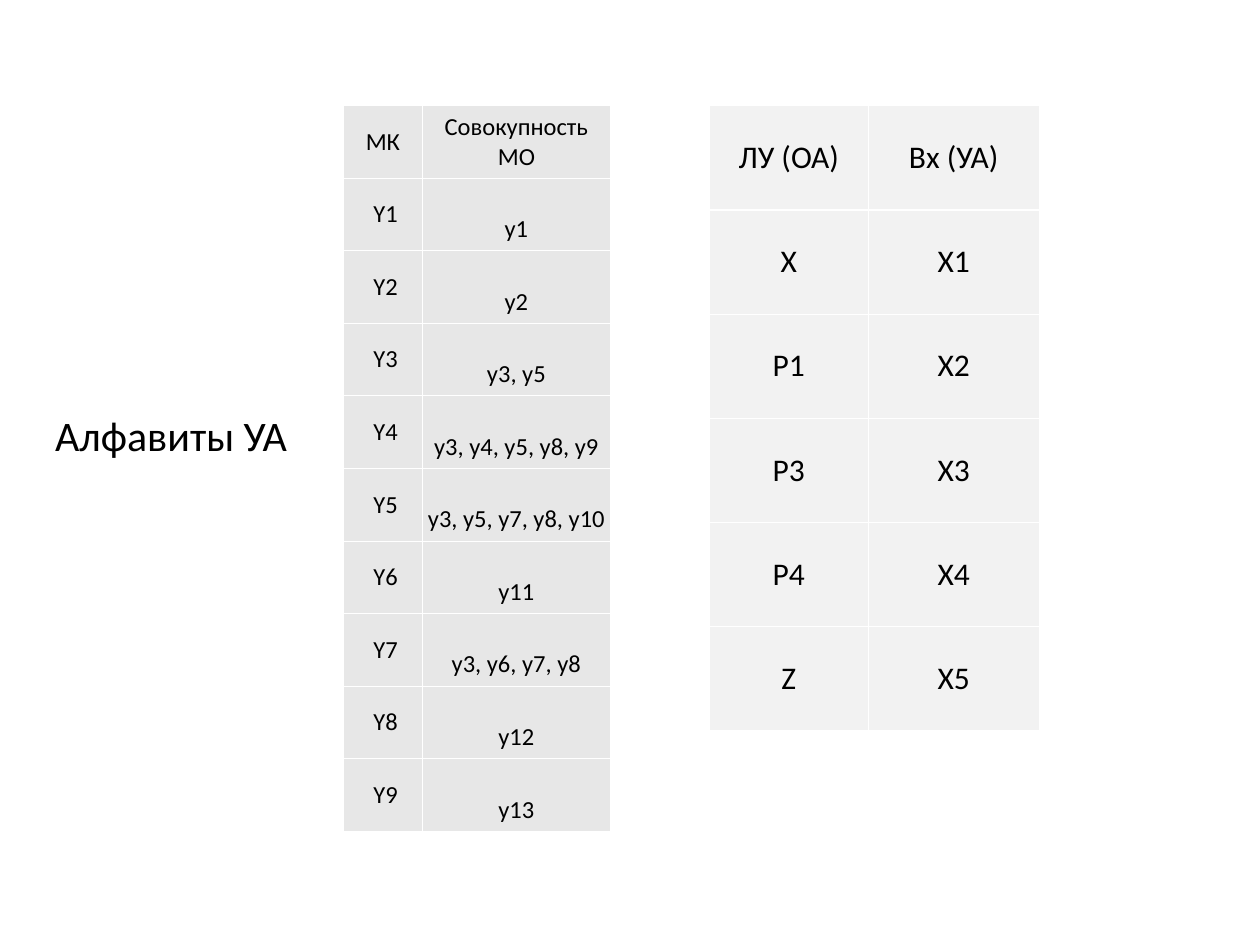
from lxml import etree
from pptx import Presentation, util as u
from pptx.dml import color
from pptx.enum import text
from pptx.oxml import ns

Cm, Pt = u.Cm, u.Pt


def hex_color(value):
    return color.RGBColor.from_string(value)


def write(frame, content, size, ink="000000", font="Calibri"):
    frame.text = content
    frame.vertical_anchor = text.MSO_ANCHOR.MIDDLE
    for para in frame.paragraphs:
        para.alignment = text.PP_ALIGN.CENTER
        for span in para.runs:
            span.font.name, span.font.size = font, Pt(size)
            span.font.bold = False
            span.font.color.rgb = hex_color(ink)


deck = Presentation()
deck.slide_width, deck.slide_height = Cm(25.4), Cm(19.05)
page = deck.slides.add_slide(deck.slide_layouts[5])

# Title
title = page.shapes.title
title.left, title.top, title.width, title.height = Cm(0), Cm(6.35), Cm(6.9), Cm(4.83)
title.text_frame.word_wrap = True
title.text_frame.auto_size = text.MSO_AUTO_SIZE.NONE
write(title.text_frame, "Алфавиты УА", 24)

# Commands with their operations, and conditions with their inputs
operations = ["y1", "y2", "y3, y5", "y3, y4, y5, y8, y9", "y3, y5, y7, y8, y10",
              "y11", "y3, y6, y7, y8", "y12", "y13"]
commands = [("МК", "Совокупность\vМО")]
commands += [(f"Y{number}", names) for number, names in enumerate(operations, 1)]
inputs = [("ЛУ (ОА)", "Вх (УА)")]
inputs += [(name, f"X{number}") for number, name in enumerate(["X", "P1", "P3", "P4", "Z"], 1)]

# Rows, left edge, column widths, row height, text size, fill, side margin, header line width
tables = [
    (commands, 6.92, (1.6, 3.78), 1.46, 14, "E7E7E7", 0.05, 0.45),
    (inputs, 14.3, (3.2, 3.45), 2.1, 18, "F2F2F2", 0.25, 1.47),
]
for rows, left, widths, height, size, fill, side, header_line in tables:
    frame = page.shapes.add_table(len(rows), 2, Cm(left), Cm(2.13),
                                  Cm(sum(widths)), Cm(height * len(rows)))
    grid = frame.table
    grid.first_row = grid.horz_banding = False
    for column, width in zip(grid.columns, widths):
        column.width = Cm(width)
    for row_index, row in enumerate(rows):
        grid.rows[row_index].height = Cm(height)
        for column_index, content in enumerate(row):
            cell = grid.cell(row_index, column_index)
            cell.margin_left = cell.margin_right = Cm(side)
            cell.margin_top = cell.margin_bottom = Cm(0.13)
            # Operations sit one line lower than their command
            if rows is commands and row_index > 0:
                if column_index == 1:
                    cell.margin_top = Cm(0.73)
                else:
                    cell.margin_left = Cm(0.16)
            write(cell.text_frame, content, size)
            cell.vertical_anchor = text.MSO_ANCHOR.MIDDLE

            # White borders, heavier under the header of the inputs
            properties = cell._tc.get_or_add_tcPr()
            for edge in ("L", "R", "T", "B"):
                under_header = (row_index, edge) in ((0, "B"), (1, "T"))
                weight = header_line if under_header else 0.45
                line = etree.SubElement(properties, ns.qn(f"a:ln{edge}"), w=str(Pt(weight)))
                paint = etree.SubElement(line, ns.qn("a:solidFill"))
                etree.SubElement(paint, ns.qn("a:srgbClr"), val="FFFFFF")
            cell.fill.solid()
            cell.fill.fore_color.rgb = hex_color(fill)

deck.save("out.pptx")
